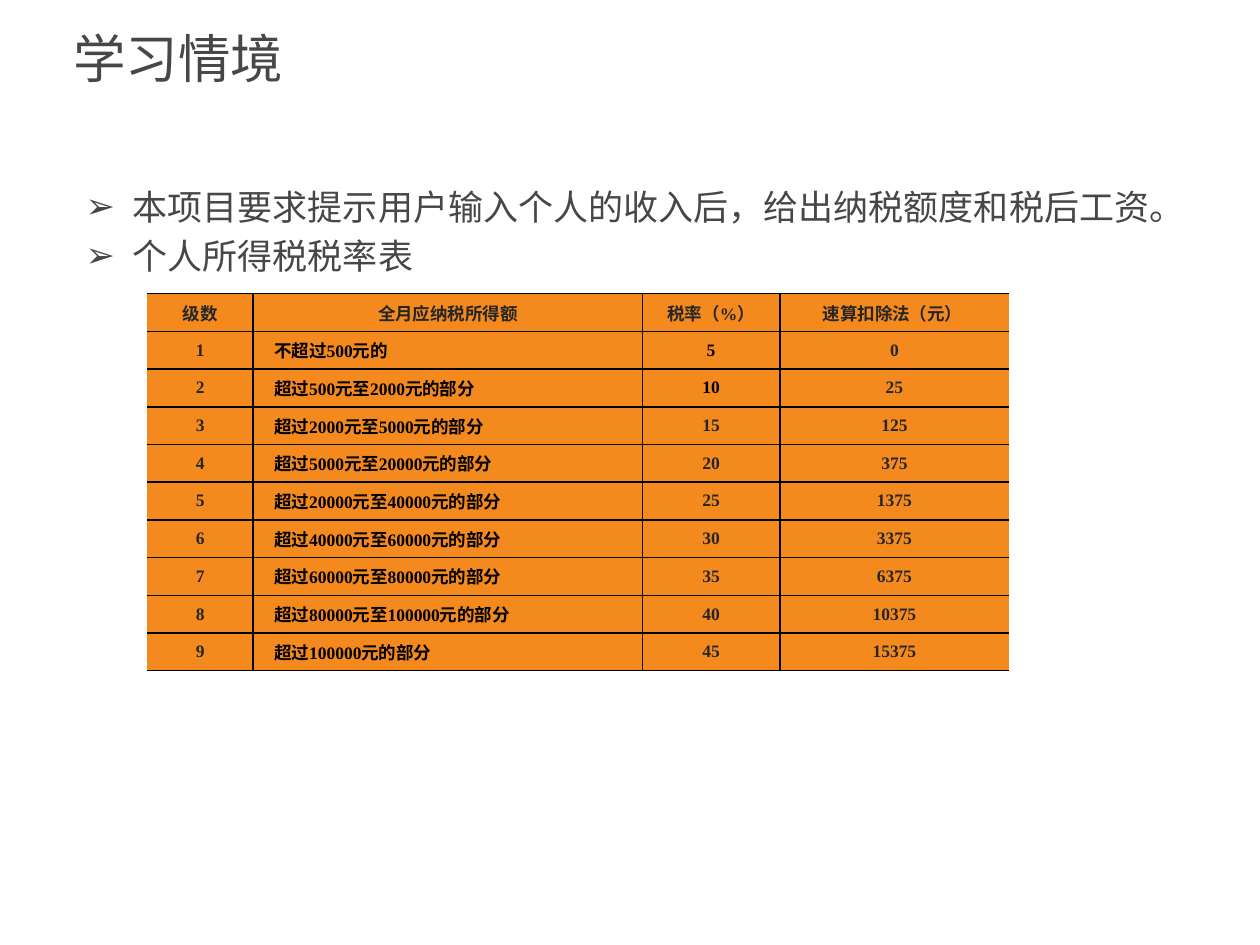
from dataclasses import dataclass

from lxml import etree
from pptx import Presentation
from pptx.dml.color import RGBColor
from pptx.enum.text import MSO_ANCHOR, MSO_AUTO_SIZE, PP_ALIGN
from pptx.oxml.ns import qn
from pptx.util import Cm, Pt

LEFT, CENTER, JUSTIFY = PP_ALIGN.LEFT, PP_ALIGN.CENTER, PP_ALIGN.JUSTIFY
TOP, MIDDLE = MSO_ANCHOR.TOP, MSO_ANCHOR.MIDDLE
NO_AUTOFIT = MSO_AUTO_SIZE.NONE

GREY = RGBColor(0x47, 0x47, 0x47)
DARK = RGBColor(0x26, 0x26, 0x26)
BLACK = RGBColor(0, 0, 0)
ORANGE = RGBColor(0xF4, 0x89, 0x1E)

HEADINGS = ("级数", "全月应纳税所得额", "税率（%）", "速算扣除法（元） ")
COLUMN_WIDTHS = (Cm(2.13), Cm(7.85), Cm(2.77), Cm(4.62))
ROW_HEIGHT = Cm(0.76)


@dataclass
class Bracket:
    """One income band of the tax table."""
    income: str
    rate: int
    deduction: int
    rate_color: RGBColor = DARK


BRACKETS = (
    Bracket("不超过500元的", 5, 0, BLACK),
    Bracket("超过500元至2000元的部分", 10, 25, BLACK),
    Bracket("超过2000元至5000元的部分", 15, 125),
    Bracket("超过5000元至20000元的部分", 20, 375),
    Bracket("超过20000元至40000元的部分", 25, 1375),
    Bracket("超过40000元至60000元的部分", 30, 3375),
    Bracket("超过60000元至80000元的部分", 35, 6375),
    Bracket("超过80000元至100000元的部分", 40, 10375),
    Bracket("超过100000元的部分", 45, 15375),
)


def write(paragraph, text: str, *, size: float, font: str, color: RGBColor,
          bold: bool = False, align=LEFT, before: float = 0, after: float = 0,
          margin: int = 0, indent: int = 0, bullet: str = "") -> None:
    paragraph.alignment = align
    paragraph.space_before, paragraph.space_after = Pt(before), Pt(after)
    run = paragraph.add_run()
    run.text = text
    run.font.size, run.font.name, run.font.bold = Pt(size), font, bold
    run.font.color.rgb = color
    properties = paragraph._p.get_or_add_pPr()
    properties.set("marL", str(margin))
    properties.set("indent", str(indent))
    if bullet:
        etree.SubElement(properties, qn("a:buFont"), typeface="Arial")
        etree.SubElement(properties, qn("a:buChar"), char=bullet)


def place(placeholder, left, top, width, height, anchor):
    """Move a placeholder and return its text frame."""
    placeholder.left, placeholder.top = left, top
    placeholder.width, placeholder.height = width, height
    frame = placeholder.text_frame
    frame.auto_size, frame.word_wrap = NO_AUTOFIT, True
    frame.vertical_anchor = anchor
    return frame


def set_borders(cell, sides: str) -> None:
    """Draw the named sides (of L, R, T, B) in black and clear the others."""
    properties = cell._tc.get_or_add_tcPr()
    for side in "LRTB":
        line = etree.SubElement(properties, qn(f"a:ln{side}"), w=str(Pt(1)))
        if side in sides:
            fill = etree.SubElement(line, qn("a:solidFill"))
            etree.SubElement(fill, qn("a:srgbClr"), val=str(BLACK))
        else:
            etree.SubElement(line, qn("a:noFill"))


def fill_cell(cell, text: str, sides: str, **text_format) -> None:
    set_borders(cell, sides)
    cell.fill.solid()
    cell.fill.fore_color.rgb = ORANGE
    cell.vertical_anchor = MIDDLE
    cell.margin_left = cell.margin_right = Cm(0.18)
    cell.margin_top = cell.margin_bottom = 0
    write(cell.text_frame.paragraphs[0], text, size=10, font="Times New Roman",
          bold=True, before=1.8, after=1.8, **text_format)


def add_tax_table(slide) -> None:
    frame = slide.shapes.add_table(
        len(BRACKETS) + 1, len(HEADINGS), Cm(2.97), Cm(5.92),
        sum(COLUMN_WIDTHS), ROW_HEIGHT * (len(BRACKETS) + 1))
    tax_table = frame.table
    tax_table.first_row = tax_table.horz_banding = False
    for column, width in zip(tax_table.columns, COLUMN_WIDTHS):
        column.width = width
    for row in tax_table.rows:
        row.height = ROW_HEIGHT

    # The outer left and right edges stay open
    column_sides = ("RTB", "LRTB", "LRTB", "LTB")
    for column, heading in enumerate(HEADINGS):
        fill_cell(tax_table.cell(0, column), heading, column_sides[column],
                  color=DARK, align=CENTER)
    for level, bracket in enumerate(BRACKETS, start=1):
        entries = (
            (str(level), dict(color=DARK, align=CENTER)),
            (bracket.income, dict(color=BLACK, align=JUSTIFY, indent=Cm(0.25))),
            (str(bracket.rate), dict(color=bracket.rate_color, align=CENTER)),
            (str(bracket.deduction), dict(color=DARK, align=CENTER)),
        )
        for column, (text, text_format) in enumerate(entries):
            fill_cell(tax_table.cell(level, column), text,
                      column_sides[column], **text_format)


def main() -> None:
    deck = Presentation()
    deck.slide_width, deck.slide_height = Cm(25.4), Cm(19.05)
    slide = deck.slides.add_slide(deck.slide_layouts[1])

    # Title
    heading = place(slide.shapes.title, Cm(1.22), Cm(0.2), Cm(23.34), Cm(1.9), MIDDLE)
    write(heading.paragraphs[0], "学习情境", size=30, font="Calibri", color=GREY)

    # Task description
    task = place(slide.placeholders[1], Cm(1.47), Cm(3.61), Cm(22.86), Cm(1.9), TOP)
    points = ("本项目要求提示用户输入个人的收入后，给出纳税额度和税后工资。",
              "个人所得税税率表")
    for number, point in enumerate(points):
        paragraph = task.add_paragraph() if number else task.paragraphs[0]
        write(paragraph, point, size=20, font="Calibri", color=GREY, before=4,
              margin=Cm(0.95), indent=-Cm(0.95), bullet="➢")

    # Tax rates
    add_tax_table(slide)
    deck.save("out.pptx")


if __name__ == "__main__":
    main()
